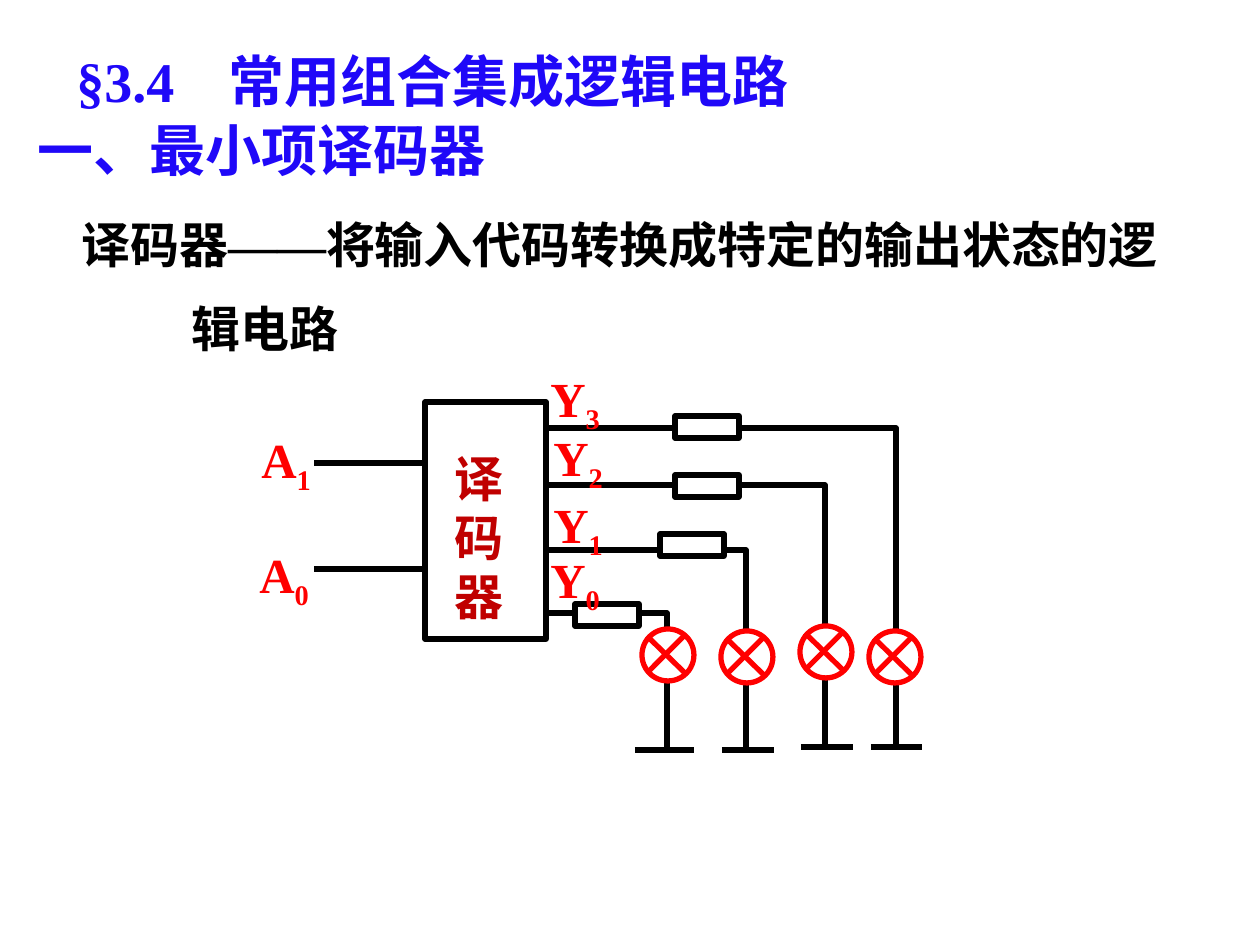
from dataclasses import dataclass

from lxml.etree import SubElement
from pptx import Presentation
from pptx.dml.color import RGBColor
from pptx.enum.shapes import MSO_CONNECTOR as Connector, MSO_SHAPE as Preset
from pptx.enum.text import MSO_ANCHOR as Anchor, PP_ALIGN as Align
from pptx.oxml.ns import qn
from pptx.util import Emu, Pt

SCALE = 914400 / 126
BLACK = RGBColor(0, 0, 0)
WHITE = RGBColor(255, 255, 255)
RED = RGBColor(255, 0, 0)
DARK_RED = RGBColor(192, 0, 0)
BLUE = RGBColor(0x1F, 0x08, 0xF8)
LATIN = "Times New Roman"
HAN = "Noto Sans CJK SC"
LINE_WIDTH = Pt(3)
LAMP_SIZE = 52
RESISTOR_WIDTH, RESISTOR_HEIGHT = 64, 22
LAMP_CROSS = ((5, 7, 45, 46), (44, 5, 7, 42))


@dataclass(frozen=True)
class Label:
    letter: str
    index: str
    left: int
    top: int


@dataclass(frozen=True)
class Output:
    label: Label
    start: int
    level: int
    turn: int
    bottom: int
    resistor: tuple[int, int]
    lamp: tuple[int, int]
    ground: tuple[int, int]


OUTPUTS = (
    Output(Label("Y", "3", 538, 357), 548, 428, 896, 747, (675, 416), (869, 631), (871, 922)),
    Output(Label("Y", "2", 541, 416), 548, 485, 825, 747, (675, 475), (800, 626), (801, 853)),
    Output(Label("Y", "1", 541, 483), 546, 550, 746, 750, (660, 534), (721, 631), (722, 774)),
    Output(Label("Y", "0", 538, 538), 546, 613, 667, 750, (575, 604), (642, 629), (635, 694)),
)
INPUTS = ((Label("A", "1", 249, 418), 463), (Label("A", "0", 247, 533), 569))


def px(length: int) -> Emu:
    return Emu(round(length * SCALE))


def format_span(span, size: int, color: RGBColor, latin: str = LATIN, han: str = HAN) -> None:
    span.font.size = Pt(size)
    span.font.bold = True
    span.font.color.rgb = color
    span.font.name = latin
    SubElement(span.font._element, qn("a:ea")).set("typeface", han)


def add_box(page, left: int, top: int, width: int, height: int):
    box = page.shapes.add_textbox(px(left), px(top), px(width), px(height))
    box.text_frame.word_wrap = True
    return box


def add_outline(page, preset, left: int, top: int, width: int, height: int,
                line: RGBColor, fill: RGBColor | None = None):
    shape = page.shapes.add_shape(preset, px(left), px(top), px(width), px(height))
    shape.shadow.inherit = False
    if fill is None:
        shape.fill.background()
    else:
        shape.fill.solid()
        shape.fill.fore_color.rgb = fill
    shape.line.color.rgb = line
    shape.line.width = LINE_WIDTH
    return shape


def add_line(page, x1: int, y1: int, x2: int, y2: int, color: RGBColor) -> None:
    line = page.shapes.add_connector(Connector.STRAIGHT, px(x1), px(y1), px(x2), px(y2))
    line.line.color.rgb = color
    line.line.width = LINE_WIDTH
    SubElement(line._element.spPr, qn("a:effectLst"))


def add_wire(page, output: Output) -> None:
    builder = page.shapes.build_freeform(output.start, output.level, scale=SCALE)
    builder.add_line_segments(
        ((output.turn, output.level), (output.turn, output.bottom)), close=False)
    wire = builder.convert_to_shape()
    wire.shadow.inherit = False
    wire.fill.background()
    wire.line.color.rgb = BLACK
    wire.line.width = LINE_WIDTH
    left, right = output.ground
    add_line(page, left, output.bottom, right, output.bottom, BLACK)


def add_lamp(page, left: int, top: int) -> None:
    add_outline(page, Preset.OVAL, left, top, LAMP_SIZE, LAMP_SIZE, RED, WHITE)
    for x1, y1, x2, y2 in LAMP_CROSS:
        add_line(page, left + x1, top + y1, left + x2, top + y2, RED)


def add_label(page, label: Label) -> None:
    frame = add_box(page, label.left, label.top, 92, 72).text_frame
    frame.margin_top = px(11)
    para = frame.paragraphs[0]
    for text in (label.letter, label.index):
        span = para.add_run()
        span.text = text
        format_span(span, 28, RED)
    span.font._element.set("baseline", "-25000")


def add_heading(page, text: str, left: int, top: int, width: int, height: int,
                tab: int | None = None) -> None:
    frame = add_box(page, left, top, width, height).text_frame
    frame.vertical_anchor = Anchor.MIDDLE
    frame.text = text
    para = frame.paragraphs[0]
    if tab is not None:
        stops = SubElement(para._p.get_or_add_pPr(), qn("a:tabLst"))
        SubElement(stops, qn("a:tab"), pos=str(px(tab)), algn="l")
    for span in para.runs:
        format_span(span, 32, BLUE)


def add_definition(page) -> None:
    frame = add_outline(page, Preset.RECTANGLE, 69, 204, 1121, 160, WHITE).text_frame
    frame.word_wrap = True
    frame.vertical_anchor = Anchor.TOP
    first, second = frame.paragraphs[0], frame.add_paragraph()
    pieces = (
        (first, "译码器", HAN),
        (first, "——", LATIN),
        (first, "将输入代码转换成特定的输出状态的逻", HAN),
        (second, "辑电路", HAN),
    )
    for para, text, font in pieces:
        para.alignment = Align.LEFT
        para.line_spacing = Pt(36)
        span = para.add_run()
        span.text = text
        format_span(span, 28, BLACK, font, font)
    second.space_before = Pt(12)
    second._p.get_or_add_pPr().set("marL", str(px(110)))


def add_decoder(page) -> None:
    add_outline(page, Preset.RECTANGLE, 425, 402, 121, 237, BLACK)
    frame = add_outline(page, Preset.RECTANGLE, 442, 436, 89, 189, WHITE).text_frame
    frame.word_wrap = True
    frame.vertical_anchor = Anchor.TOP
    frame.margin_top = px(12)
    frame.text = "译码器"
    para = frame.paragraphs[0]
    para.alignment = Align.LEFT
    para.line_spacing = Pt(33.7)
    format_span(para.runs[0], 28, DARK_RED)


def main() -> None:
    deck = Presentation()
    deck.slide_width, deck.slide_height = px(1260), px(945)
    page = deck.slides.add_slide(deck.slide_layouts[6])
    add_heading(page, "一、最小项译码器", 25, 108, 599, 83)
    add_definition(page)
    add_decoder(page)
    for label, level in INPUTS:
        add_line(page, 422, level, 314, level, BLACK)
        add_label(page, label)
    for output in OUTPUTS:
        add_wire(page, output)
    for output in OUTPUTS:
        add_lamp(page, *output.lamp)
        add_outline(page, Preset.RECTANGLE, *output.resistor,
                    RESISTOR_WIDTH, RESISTOR_HEIGHT, BLACK, WHITE)
        add_label(page, output.label)
    add_heading(page, "§3.4\t常用组合集成逻辑电路", 64, 42, 1007, 76, tab=152)
    deck.save("out.pptx")


if __name__ == "__main__":
    main()
